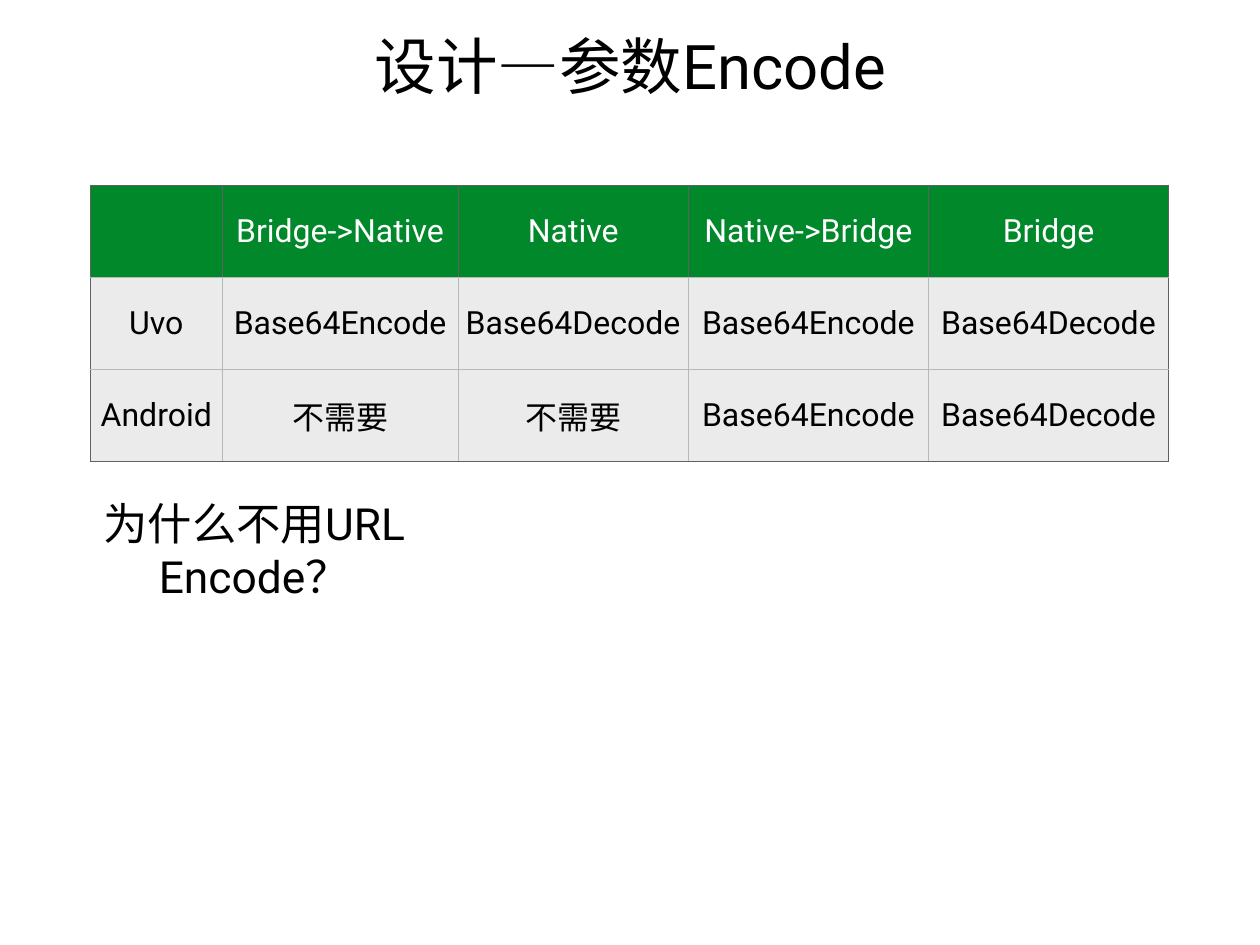
from dataclasses import dataclass

from lxml import etree
from pptx import Presentation
from pptx.dml.color import RGBColor
from pptx.enum.text import MSO_ANCHOR, PP_ALIGN
from pptx.oxml.ns import qn
from pptx.util import Inches, Pt

CENTER = PP_ALIGN.CENTER
MIDDLE = MSO_ANCHOR.MIDDLE


@dataclass(frozen=True)
class Theme:
    """Hold the font, colours, sizes and inset."""
    font: str = "Roboto"
    black: str = "000000"
    white: str = "FFFFFF"
    green: str = "00882B"
    gray: str = "EBEBEB"
    dark: str = "606060"
    light: str = "B8B8B8"
    title: int = 50
    ask: int = 36
    cell: int = 26
    inset: float = 0.06


THEME = Theme()
COLS = (1.49, 2.66, 2.6, 2.71, 2.71)
ROWS = (
    ("", "Bridge->Native", "Native", "Native->Bridge", "Bridge"),
    ("Uvo", "Base64Encode", "Base64Decode", "Base64Encode", "Base64Decode"),
    ("Android", "不需要", "不需要", "Base64Encode", "Base64Decode"),
)


def write(frame, text, size, color=THEME.black):
    """Write one centred paragraph into a text frame."""
    para = frame.paragraphs[0]
    para.alignment = CENTER
    font = para.font
    if text:
        run = para.add_run()
        run.text = text
        font = run.font
    font.name = THEME.font
    font.size = Pt(size)
    font.color.rgb = RGBColor.from_string(color)


def pad(part):
    """Set equal margins on a cell or a text frame."""
    part.margin_left = part.margin_right = Inches(THEME.inset)
    part.margin_top = part.margin_bottom = Inches(THEME.inset)
    part.vertical_anchor = MIDDLE


def label(slide, box, text, size):
    """Place a wrapped, centred text box."""
    frame = slide.shapes.add_textbox(*map(Inches, box)).text_frame
    frame.word_wrap = True
    pad(frame)
    write(frame, text, size)


def edge(cell, colors):
    """Draw the left, right, top and bottom borders of a cell."""
    props = cell._tc.get_or_add_tcPr()
    for i, (side, color) in enumerate(zip("LRTB", colors)):
        line = etree.Element(qn(f"a:ln{side}"), w=str(Pt(1)))
        fill = etree.SubElement(line, qn("a:solidFill"))
        etree.SubElement(fill, qn("a:srgbClr"), val=color)
        props.insert(i, line)


def grid(slide, box):
    """Build the encoding table in its box."""
    shape = slide.shapes.add_table(len(ROWS), len(COLS), *map(Inches, box))
    table = shape.table
    for col, width in zip(table.columns, COLS):
        col.width = Inches(width)
    for r, row in enumerate(ROWS):
        table.rows[r].height = Inches(box[3] / len(ROWS))
        head = r == 0
        for c, text in enumerate(row):
            cell = table.cell(r, c)
            pad(cell)
            cell.fill.solid()
            cell.fill.fore_color.rgb = RGBColor.from_string(
                THEME.green if head else THEME.gray)
            write(cell.text_frame, text, THEME.cell,
                  color=THEME.white if head else THEME.black)
            outer = (head or c == 0, head or c == len(COLS) - 1,
                     head, r == len(ROWS) - 1)
            edge(cell, [THEME.dark if out else THEME.light for out in outer])


def main():
    """Build and save the slide."""
    deck = Presentation()
    deck.slide_width = Inches(14.22)
    deck.slide_height = Inches(10.67)
    slide = deck.slides.add_slide(deck.slide_layouts[6])
    label(slide, (-0.04, 0.01, 14.31, 1.44), "设计—参数Encode", THEME.title)
    grid(slide, (1.02, 2.09, sum(COLS), 3.12))
    label(slide, (1.02, 5.8, 3.7, 0.81), "为什么不用URL Encode？", THEME.ask)
    deck.save("out.pptx")


if __name__ == "__main__":
    main()
